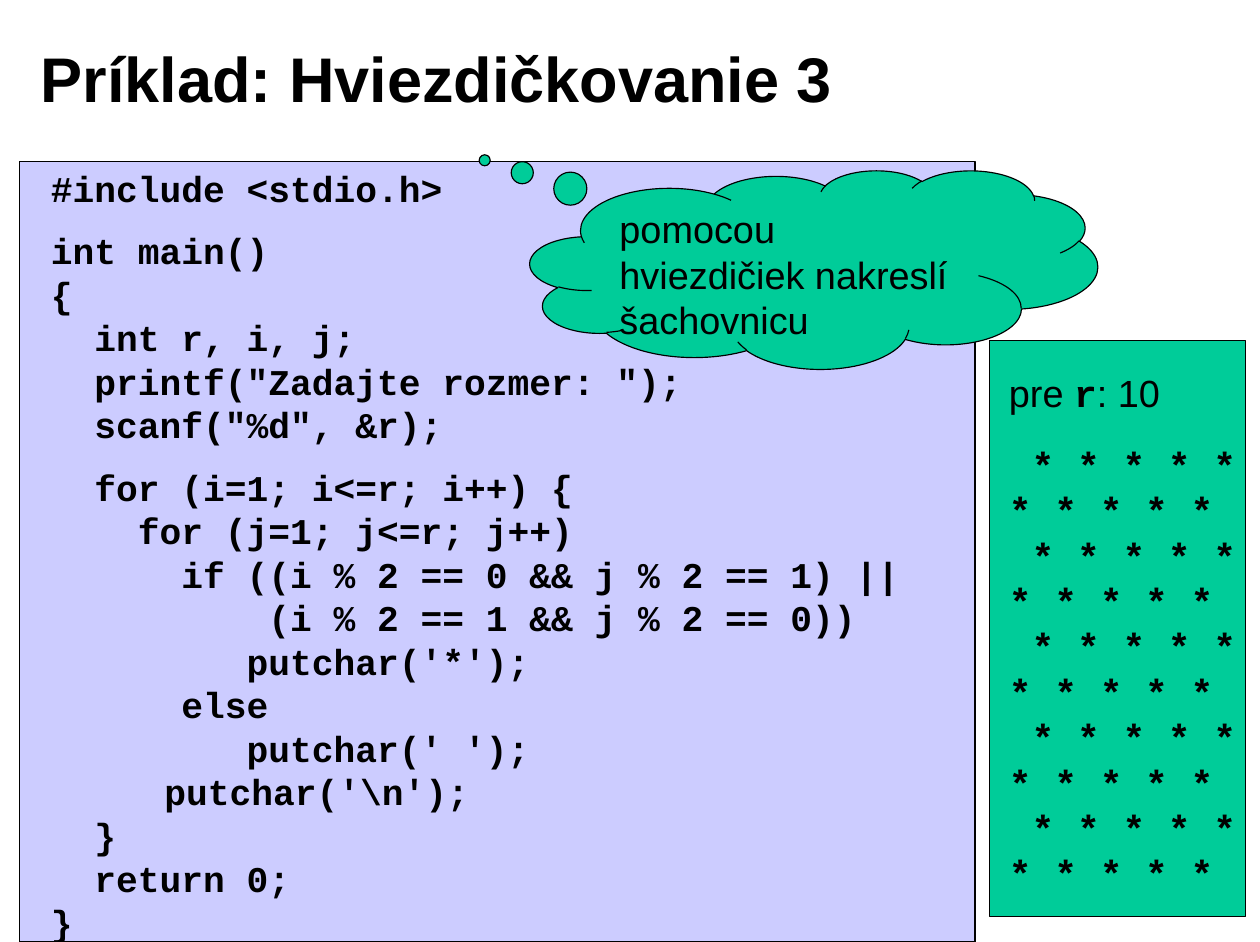
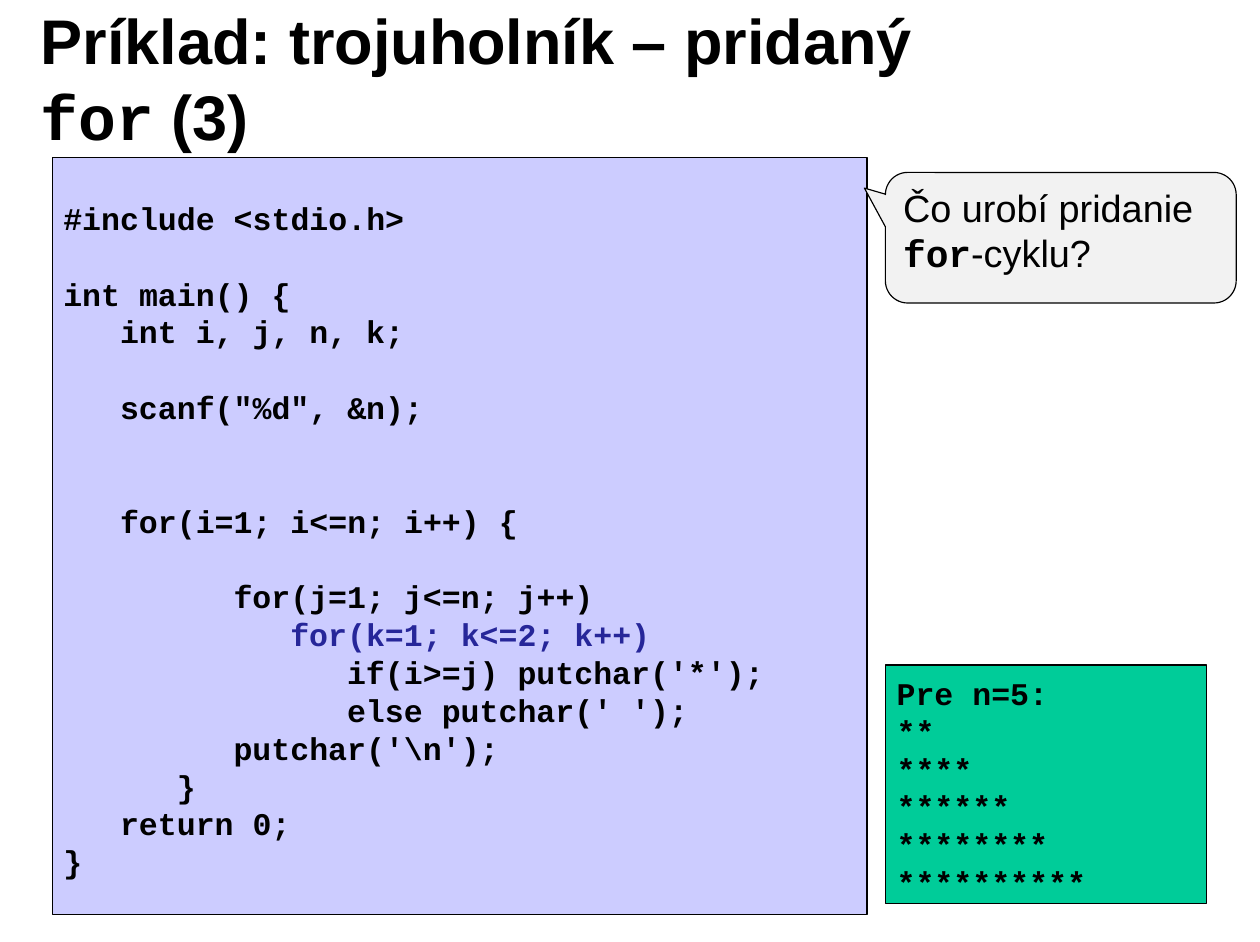
import pptx
import pptx.util
import pptx.dml.color
import pptx.enum.shapes
import pptx.enum.text

WIDE, HIGH = 11.1, 8.3
LEAD = 1.2    # line height, in ems
CHAR = 0.6    # width of a fixed-pitch character, in ems
DROP = 0.1    # baseline shift of fixed-pitch text, in ems

HUE = {"ink": "000000", "code": "CCCCFF", "out": "00CC99",
       "ask": "F2F2F2", "new": "262699"}
FONT = {
    "head": {"name": "Arial", "bold": True},
    "text": {"name": "Arial", "bold": False},
    "mono": {"name": "Courier New", "bold": True},
}
KIND = pptx.enum.shapes.MSO_SHAPE
FORM = {"rect": KIND.RECTANGLE, "cloud": KIND.CLOUD_CALLOUT,
        "talk": KIND.ROUNDED_RECTANGULAR_CALLOUT}

# A line is (columns of indent, points of gap above, text or runs);
# a run is (text, font, colour).
CHESS = [
    (0, 0, "#include <stdio.h>"),
    (0, 12, "int main()"),
    (0, 0, "{"),
    (2, 0, "int r, i, j;"),
    (2, 0, 'printf("Zadajte rozmer: ");'),
    (2, 0, 'scanf("%d", &r);'),
    (2, 12, "for (i=1; i<=r; i++) {"),
    (4, 0, "for (j=1; j<=r; j++)"),
    (6, 0, "if ((i % 2 == 0 && j % 2 == 1) ||"),
    (10, 0, "(i % 2 == 1 && j % 2 == 0))"),
    (9, 0, "putchar('*');"),
    (6, 0, "else"),
    (9, 0, "putchar(' ');"),
    (5.22, 0, "putchar('\\n');"),
    (2, 0, "}"),
    (2, 0, "return 0;"),
    (0, 0, "}"),
]
STARS = [(0, 0, [("pre ", "text", "ink"), ("r", "mono", "ink"),
                 (": 10", "text", "ink")])]
STARS += [(1 - i % 2, 0 if i else 17, "* * * * *") for i in range(10)]

LOOPS = [
    (0, 0, "#include <stdio.h>"),
    (0, 24, "int main() {"),
    (3, 0, "int i, j, n, k;"),
    (3, 24, 'scanf("%d", &n);'),
    (3, 48, "for(i=1; i<=n; i++) {"),
    (9, 24, "for(j=1; j<=n; j++)"),
    (12, 0, [("for(k=1; k<=2; k++)", "mono", "new")]),
    (15, 0, "if(i>=j) putchar('*');"),
    (15, 0, "else putchar(' ');"),
    (9, 0, "putchar('\\n');"),
    (6, 0, "}"),
    (3, 0, "return 0;"),
    (0, 0, "}"),
]
STEPS = [(0, 0, "Pre n=5:")] + [(0, 0, "**" * i) for i in range(1, 6)]

HOLD = [(0, 6, "pomocou hviezdičiek nakreslí šachovnicu")]
QUERY = [(0, 0, [("Čo urobí pridanie ", "text", "ink"),
                 ("for", "mono", "ink"), ("-cyklu?", "text", "ink")])]

# Boxes are left, top, width, height in percent of the slide.
SLIDES = [
    {"title": "Príklad: Hviezdičkovanie 3",
     "parts": [
         {"box": (1.53, 17.11, 75.86, 82.89), "form": "rect", "fill": "code"},
         {"box": (3.15, 16.63, 70.99, 83.73), "lines": CHESS, "size": 23},
         {"box": (42.07, 18.07, 45.05, 21.08), "form": "cloud", "fill": "out",
          "adj": (-0.58, -0.55), "lines": HOLD, "size": 24, "font": "text"},
         {"box": (78.56, 36.14, 20.27, 61.2), "form": "rect", "fill": "out"},
         {"box": (79.19, 38.19, 20.81, 57.11), "lines": STARS, "size": 24},
     ]},
    {"title": [("Príklad: trojuholník – pridaný ", "head", "ink"),
               ("for", "mono", "ink"), (" (3)", "head", "ink")],
     "parts": [
         {"box": (70.27, 70.6, 25.5, 25.3), "form": "rect", "fill": "out",
          "lines": STEPS, "size": 20},
         {"box": (4.14, 16.75, 64.68, 80.36), "form": "rect", "fill": "code",
          "lines": LOOPS, "size": 20, "anchor": "MIDDLE"},
         {"box": (70.27, 18.31, 27.84, 13.86), "form": "talk", "fill": "ask",
          "adj": (-0.56, -0.38, 0.17), "lines": QUERY, "size": 24,
          "font": "text"},
     ]},
]


def tint(name):
    return pptx.dml.color.RGBColor.from_string(HUE[name])


def apply(obj, vals):
    for key, val in vals.items():
        setattr(obj, key, val)


def write(shape, lines, size, font="mono", anchor="TOP", pad=(0.1, 0.05)):
    frame = shape.text_frame
    side, edge = pad
    drop = DROP * size / 72 if font == "mono" else 0
    apply(frame, {
        "word_wrap": True,
        "vertical_anchor": pptx.enum.text.MSO_ANCHOR[anchor],
        "margin_left": pptx.util.Inches(side),
        "margin_right": pptx.util.Inches(side),
        "margin_top": pptx.util.Inches(edge + drop),
        "margin_bottom": pptx.util.Inches(edge - drop),
    })
    for i, (cols, gap, runs) in enumerate(lines):
        para = frame.add_paragraph() if i else frame.paragraphs[0]
        apply(para, {
            "alignment": pptx.enum.text.PP_ALIGN.LEFT,
            "line_spacing": pptx.util.Pt(size * LEAD),
            "space_before": pptx.util.Pt(gap),
        })
        if cols:
            dent = pptx.util.Pt(cols * CHAR * size)
            para._p.get_or_add_pPr().set("marL", str(int(dent)))
        if isinstance(runs, str):
            runs = [(runs, font, "ink")]
        for text, face, hue in runs:
            run = para.add_run()
            run.text = text
            apply(run.font, {"size": pptx.util.Pt(size), **FONT[face]})
            run.font.color.rgb = tint(hue)


def place(slide, box, form=None, fill=None, adj=(), lines=(), **style):
    """Add a filled shape, or a text box when no form is given."""
    spot = [pptx.util.Inches(part * full / 100)
            for part, full in zip(box, (WIDE, HIGH) * 2)]
    if form:
        shape = slide.shapes.add_shape(FORM[form], *spot)
        shape.shadow.inherit = False
        shape.fill.solid()
        shape.fill.fore_color.rgb = tint(fill)
        shape.line.color.rgb = tint("ink")
        shape.line.width = pptx.util.Pt(0.75)
        for i, val in enumerate(adj):
            shape.adjustments[i] = val
    else:
        shape = slide.shapes.add_textbox(*spot)
    if lines:
        write(shape, lines, **style)


def main():
    deck = pptx.Presentation()
    deck.slide_width = pptx.util.Inches(WIDE)
    deck.slide_height = pptx.util.Inches(HIGH)
    for page in SLIDES:
        slide = deck.slides.add_slide(deck.slide_layouts[6])
        place(slide, (2.25, 2.05, 80.36, 12.29),
              lines=[(0, 0, page["title"])], size=40, font="head",
              anchor="MIDDLE", pad=(0.11, 0.06))
        for part in page["parts"]:
            place(slide, **part)
    deck.save("out.pptx")


if __name__ == "__main__":
    main()
